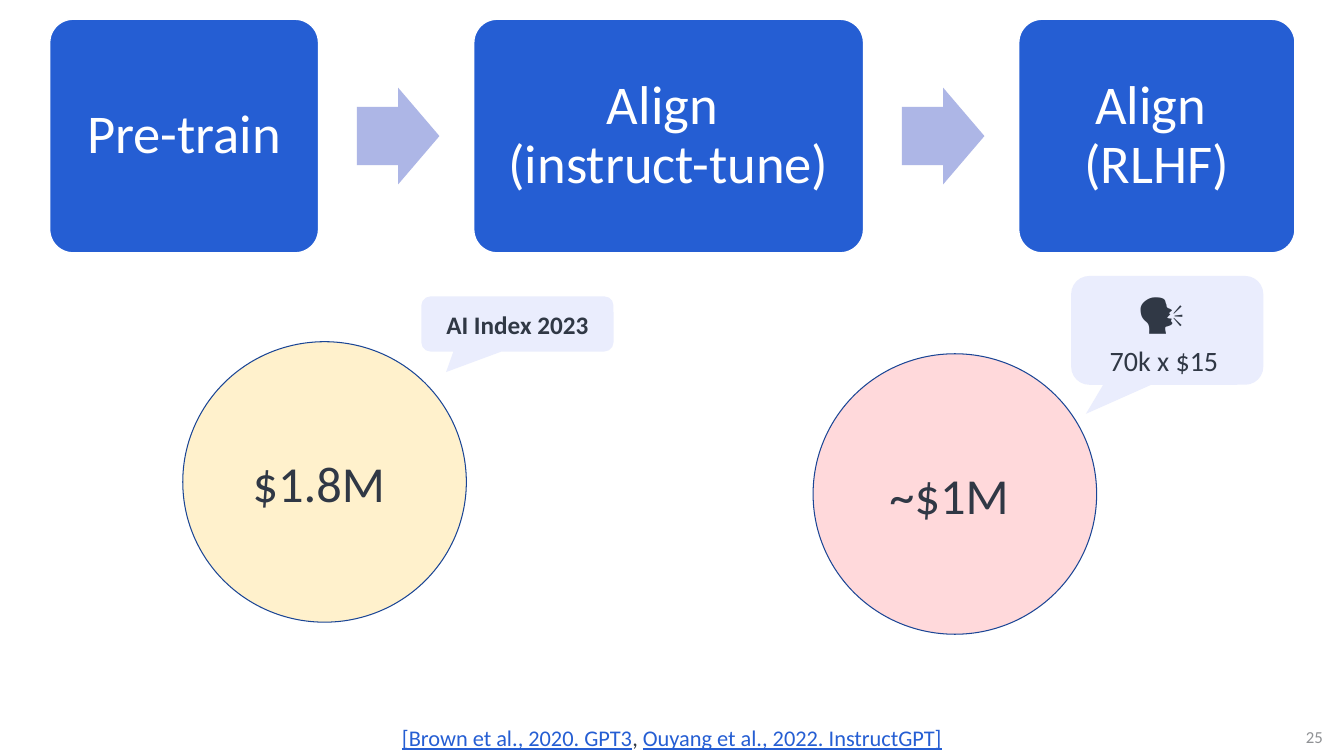
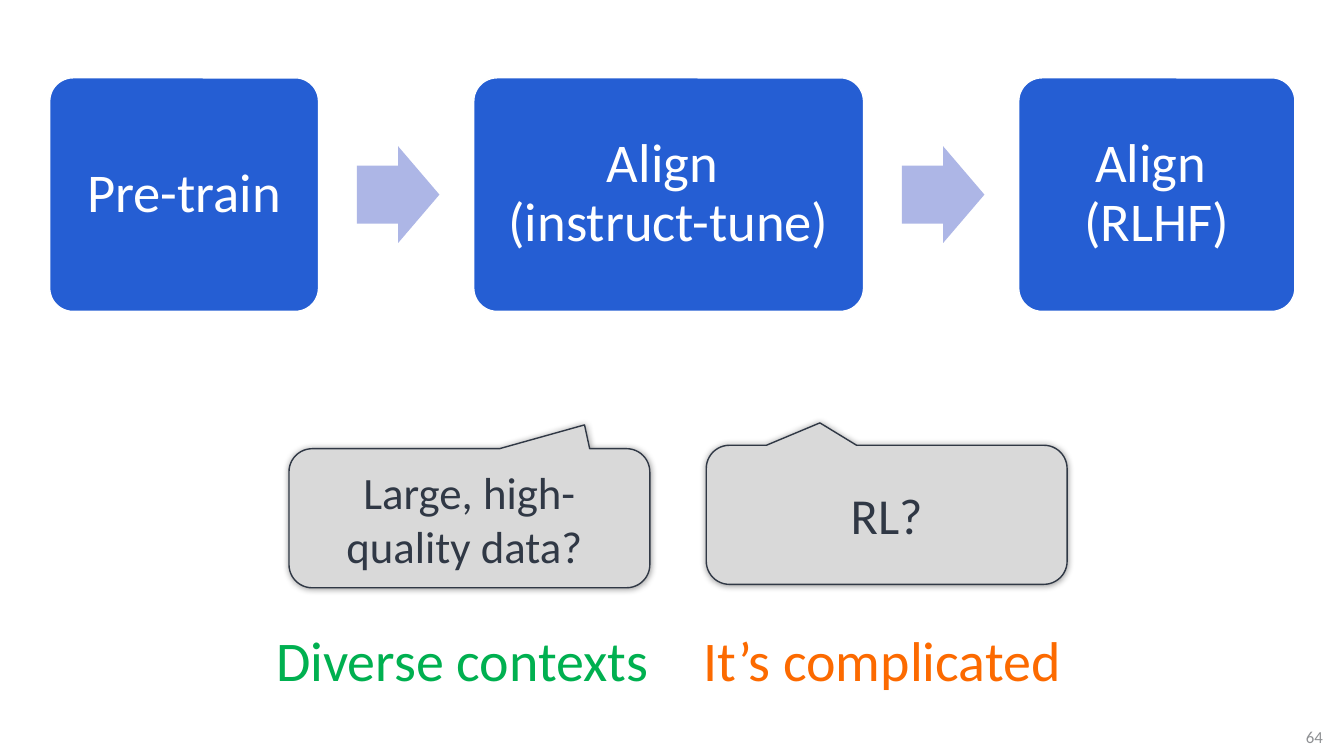
from lxml.etree import SubElement
from pptx import Presentation
from pptx.dml.color import RGBColor
from pptx.enum.shapes import MSO_SHAPE
from pptx.enum.text import MSO_ANCHOR, PP_ALIGN
from pptx.oxml.ns import qn
from pptx.util import Inches, Pt

SLIDE_WIDTH, SLIDE_HEIGHT = Inches(13.33), Inches(7.5)
FONT = "Calibri"

WHITE = RGBColor(0xFF, 0xFF, 0xFF)
INK = RGBColor(0x30, 0x38, 0x45)
BLUE = RGBColor(0x25, 0x5E, 0xD3)
NAVY = RGBColor(0x1A, 0x45, 0x95)
PERIWINKLE = RGBColor(0xAD, 0xB6, 0xE6)
LAVENDER = RGBColor(0xEA, 0xED, 0xFD)
CREAM = RGBColor(0xFF, 0xF1, 0xCC)
ROSE = RGBColor(0xFF, 0xD9, 0xDB)
SILVER = RGBColor(0xD9, 0xD9, 0xD9)
NUMBER_GREY = RGBColor(0x8F, 0x91, 0x94)
ORANGE = RGBColor(0xFC, 0x6A, 0x00)
GREEN = RGBColor(0x00, 0xB0, 0x50)

STAGES = [("Pre-train", 20), ("Align \v(instruct-tune)", 29), ("Align \v(RLHF)", 20.55)]
STAGE_LEFT, STAGE_HEIGHT, STAGE_GAP = 3.7, 30.9, 11.55
ARROW_OFFSET, ARROW_WIDTH, ARROW_HEIGHT = 2.85, 6.15, 12.8


def place(left, top, width, height):
    """Turn percentages of the slide into lengths."""
    return (
        int(SLIDE_WIDTH * left / 100),
        int(SLIDE_HEIGHT * top / 100),
        int(SLIDE_WIDTH * width / 100),
        int(SLIDE_HEIGHT * height / 100),
    )


def style_run(run, size, color, bold=False, underline=False):
    """Give a run its font, size and colour."""
    font = run.font
    font.name, font.size, font.bold, font.underline = FONT, Pt(size), bold, underline
    font.color.rgb = color


def write(holder, text, sizes, color=INK, align=PP_ALIGN.CENTER, inset=None, bold=False):
    """Fill a box with paragraphs, one size for each."""
    frame = holder.text_frame
    frame.word_wrap = True
    frame.vertical_anchor = MSO_ANCHOR.MIDDLE
    if inset is not None:
        frame.margin_left = frame.margin_right = Inches(inset)
        frame.margin_top = frame.margin_bottom = Inches(inset)
    frame.text = text
    for paragraph, size in zip(frame.paragraphs, sizes):
        paragraph.alignment = align
        for run in paragraph.runs:
            style_run(run, size, color, bold)


def add_figure(slide, preset, area, fill, outline=None, weight=1, adjustments=()):
    """Add a flat preset shape."""
    figure = slide.shapes.add_shape(preset, *place(*area))
    figure.shadow.inherit = False
    figure.fill.solid()
    figure.fill.fore_color.rgb = fill
    if outline is None:
        figure.line.fill.background()
    else:
        figure.line.color.rgb = outline
        figure.line.width = Pt(weight)
    for index, value in enumerate(adjustments):
        figure.adjustments[index] = value
    return figure


def add_pipeline(slide, top):
    """Add the three training stages joined by arrows."""
    left = STAGE_LEFT
    arrow_top = top + (STAGE_HEIGHT - ARROW_HEIGHT) / 2
    for index, (label, width) in enumerate(STAGES):
        if index:
            arrow_left = left - STAGE_GAP + ARROW_OFFSET
            add_figure(slide, MSO_SHAPE.RIGHT_ARROW,
                       (arrow_left, arrow_top, ARROW_WIDTH, ARROW_HEIGHT),
                       PERIWINKLE, adjustments=(0.6, 0.5))
        stage = add_figure(slide, MSO_SHAPE.ROUNDED_RECTANGLE,
                           (left, top, width, STAGE_HEIGHT), BLUE, WHITE, adjustments=(0.1,))
        write(stage, label, [39], WHITE, inset=0.22)
        stage.text_frame.paragraphs[0].line_spacing = 0.9
        left += width + STAGE_GAP


def add_cost(slide, left, top, amount, fill):
    """Add a circle that holds a cost."""
    cost = add_figure(slide, MSO_SHAPE.OVAL, (left, top, 21.1, 37.1), fill, NAVY, 0.75)
    write(cost, amount, [36], inset=0.13)


def add_callout(slide, area, tail, text, sizes, fill=LAVENDER, outline=None, bold=False):
    """Add a speech bubble whose tail ends at the given offset."""
    callout = add_figure(slide, MSO_SHAPE.ROUNDED_RECTANGULAR_CALLOUT, area, fill, outline,
                         adjustments=(*tail, 0.167))
    write(callout, text, sizes, bold=bold)
    return callout


def add_question(slide, left, top, tail, text, size):
    """Add a grey speech bubble with a soft glow of shadow."""
    question = add_callout(slide, (left, top, 26.85, 18.4), tail, text, [size], SILVER, INK)
    effects = question._element.spPr.find(qn("a:effectLst"))
    shadow = SubElement(effects, qn("a:outerShdw"), blurRad=str(Pt(5)), dist="0", dir="0",
                        algn="ctr", rotWithShape="0")
    black = SubElement(shadow, qn("a:srgbClr"), val="000000")
    SubElement(black, qn("a:alpha"), val="40000")


def add_label(slide, area, text, size, color, align=PP_ALIGN.CENTER):
    """Add a plain text box."""
    label = slide.shapes.add_textbox(*place(*area))
    write(label, text, [size], color, align)


def add_citation(slide, sources):
    """Add underlined sources separated by commas at the foot."""
    citation = slide.shapes.add_textbox(*place(18.3, 94.1, 63.4, 7.2))
    write(citation, "", [16], inset=0.13)
    citation.text_frame.vertical_anchor = MSO_ANCHOR.TOP
    paragraph = citation.text_frame.paragraphs[0]
    for index, source in enumerate(sources):
        if index:
            comma = paragraph.add_run()
            comma.text = ", "
            style_run(comma, 16, INK)
        reference = paragraph.add_run()
        reference.text = source
        style_run(reference, 16, BLUE, underline=True)


def add_numbered_slide(deck, number):
    """Add a blank slide with its number in the corner."""
    slide = deck.slides.add_slide(deck.slide_layouts[6])
    add_label(slide, (95.6, 94.8, 4.4, 5.3), str(number), 12, NUMBER_GREY)
    return slide


def build_costs(deck):
    """Build the slide on the cost of each stage."""
    slide = add_numbered_slide(deck, 25)
    add_cost(slide, 13.6, 45.2, "$1.8M ", CREAM)
    add_cost(slide, 60.5, 46.8, "~$1M ", ROSE)
    add_callout(slide, (79.7, 36.5, 14.3, 14.4), (-0.423, 0.767), "🗣 \n70k x $15 ", [36, 20])
    add_callout(slide, (31.35, 39.2, 14.3, 7.3), (-0.371, 0.871), "AI Index 2023", [18], bold=True)
    add_citation(slide, ["[Brown et al., 2020. GPT3", "Ouyang et al., 2022. InstructGPT]"])
    add_pipeline(slide, 2.55)


def build_questions(deck):
    """Build the slide on open questions about alignment."""
    slide = add_numbered_slide(deck, 64)
    add_pipeline(slide, 10.3)
    add_question(slide, 52.55, 58.9, (-0.185, -0.661), "RL?", 36)
    add_question(slide, 21.5, 59.35, (0.319, -0.671), "Large, high-quality data? ", 32)
    add_label(slide, (51.6, 82.1, 28.8, 10.3), "It’s complicated", 40, ORANGE, PP_ALIGN.LEFT)
    add_label(slide, (19.8, 82.1, 30.3, 10.3), "Diverse contexts", 40, GREEN, PP_ALIGN.LEFT)


def main():
    """Build and save the deck."""
    deck = Presentation()
    deck.slide_width, deck.slide_height = SLIDE_WIDTH, SLIDE_HEIGHT
    build_costs(deck)
    build_questions(deck)
    deck.save("out.pptx")


if __name__ == "__main__":
    main()
